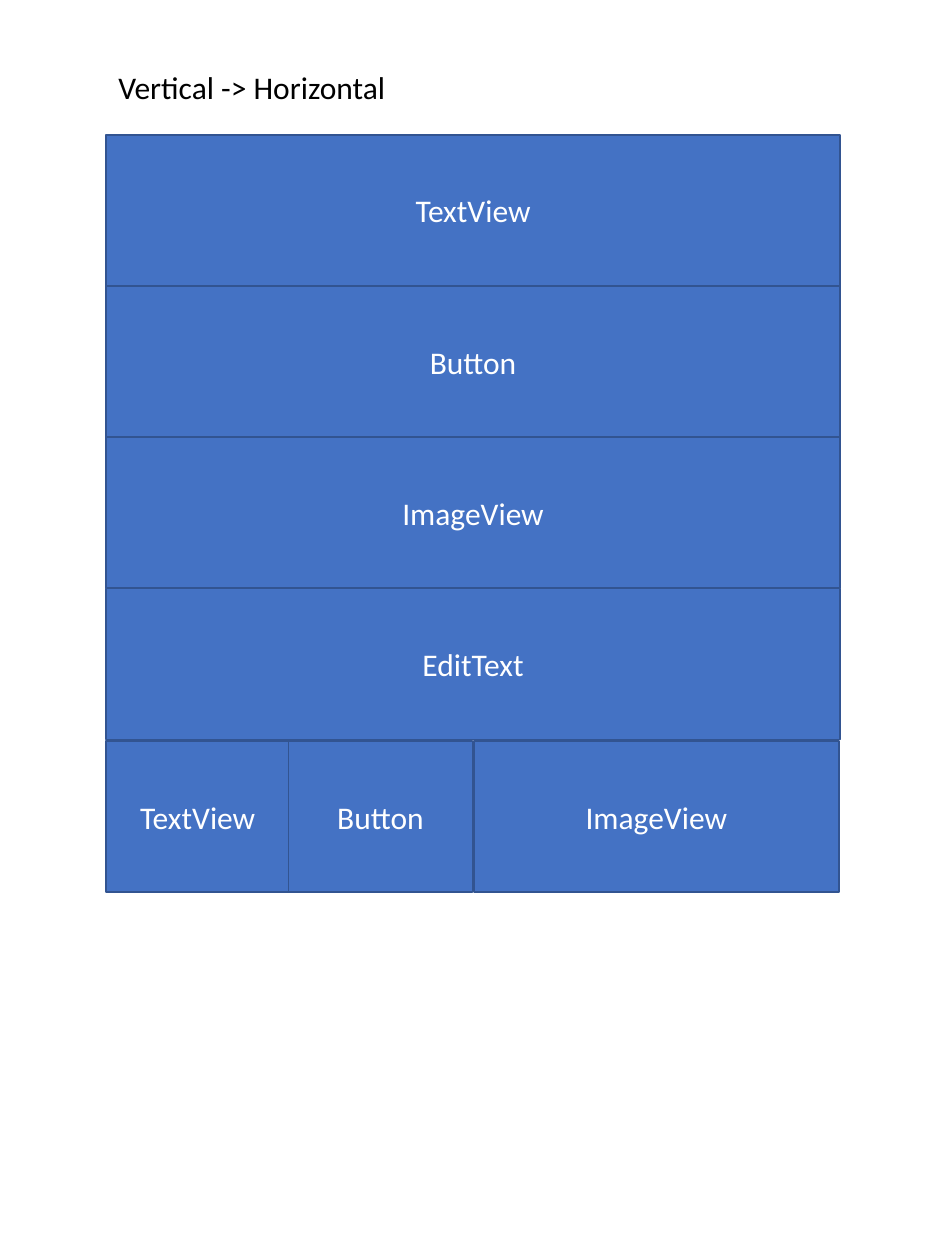
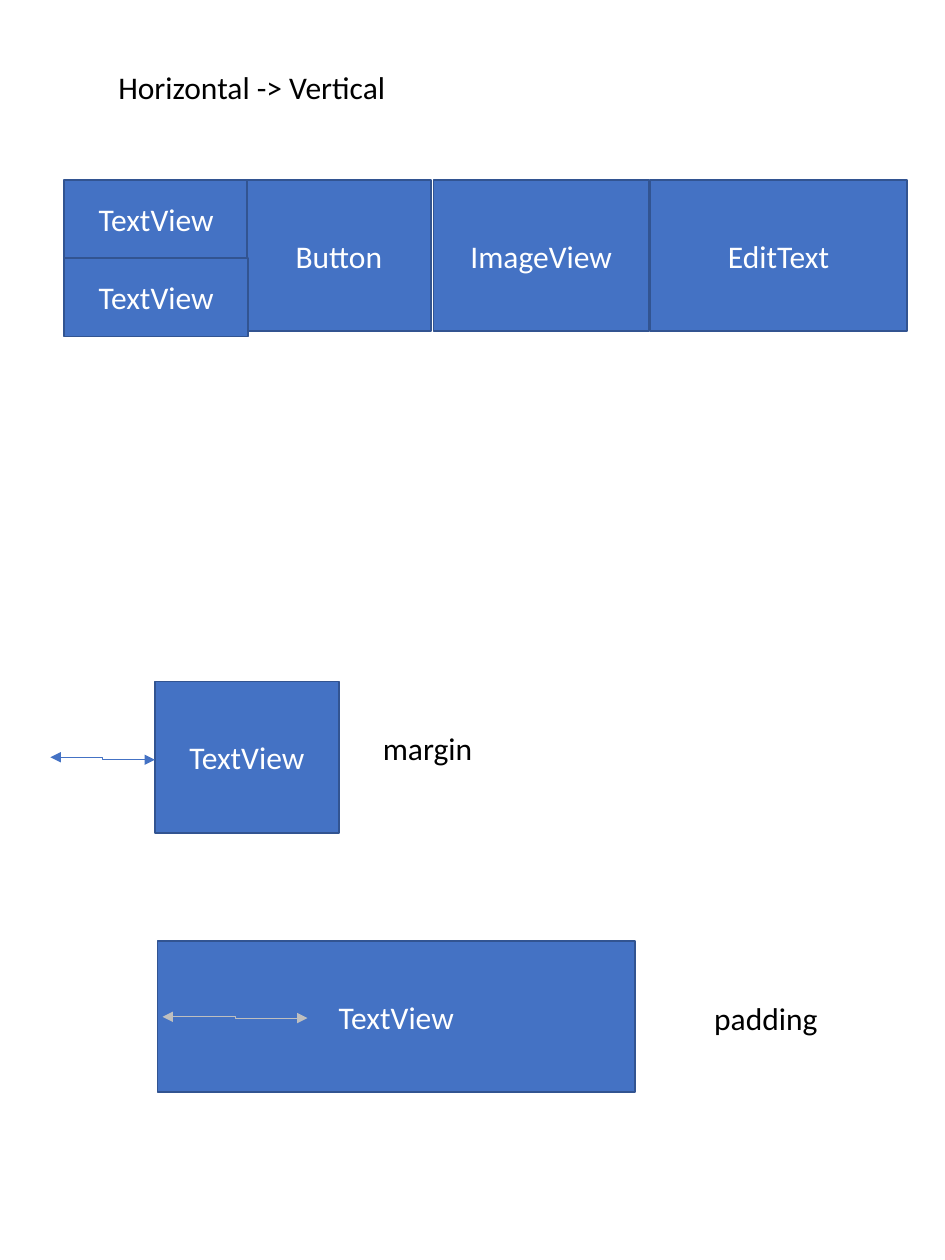
"""Builds two slides on nested linear layouts, margin and padding."""
from lxml.etree import SubElement
from pptx import Presentation
from pptx.dml.color import RGBColor
from pptx.enum.shapes import MSO_CONNECTOR, MSO_SHAPE
from pptx.enum.text import MSO_ANCHOR, MSO_AUTO_SIZE, PP_ALIGN
from pptx.oxml.ns import qn
from pptx.util import Inches, Pt

BLUE = RGBColor(0x44, 0x72, 0xC4)
NAVY = RGBColor(0x32, 0x54, 0x91)
GRAY = RGBColor(0xBF, 0xBF, 0xBF)
WHITE = RGBColor(0xFF, 0xFF, 0xFF)
BLACK = RGBColor(0x00, 0x00, 0x00)
VIEW_HEIGHT = 1.2
VIEW_WIDTH = 1.46
LEFT = 0.84


def write(frame, text, color=BLACK, align=PP_ALIGN.LEFT, anchor=MSO_ANCHOR.TOP,
          wrap=True, size=18, font="Calibri"):
    frame.word_wrap = wrap
    frame.vertical_anchor = anchor
    paragraph = frame.paragraphs[0]
    paragraph.alignment = align
    run = paragraph.add_run()
    run.text = text
    run.font.size = Pt(size)
    run.font.name = font
    run.font.color.rgb = color


class LayoutDeck:
    def __init__(self):
        self.presentation = Presentation()
        self.presentation.slide_width = Inches(7.5)
        self.presentation.slide_height = Inches(10)
        self.slide = None

    def start(self, title):
        self.slide = self.presentation.slides.add_slide(self.presentation.slide_layouts[6])
        self.label(title, LEFT, 0.49, 3.29, wrap=True)

    def label(self, text, left, top, width, wrap=False):
        label = self.slide.shapes.add_textbox(
            Inches(left), Inches(top), Inches(width), Inches(0.4))
        write(label.text_frame, text, wrap=wrap)
        label.text_frame.auto_size = MSO_AUTO_SIZE.SHAPE_TO_FIT_TEXT

    def view(self, text, left, top, width=VIEW_WIDTH, height=VIEW_HEIGHT):
        view = self.slide.shapes.add_shape(
            MSO_SHAPE.RECTANGLE, Inches(left), Inches(top), Inches(width), Inches(height))
        view.shadow.inherit = False
        view.fill.solid()
        view.fill.fore_color.rgb = BLUE
        view.line.color.rgb = NAVY
        view.line.width = Pt(1)
        write(view.text_frame, text, color=WHITE, align=PP_ALIGN.CENTER,
              anchor=MSO_ANCHOR.MIDDLE)

    def gap_arrow(self, start, end, color):
        arrow = self.slide.shapes.add_connector(
            MSO_CONNECTOR.ELBOW, *(Inches(value) for value in start + end))
        arrow.line.color.rgb = color
        arrow.line.width = Pt(0.5)
        properties = arrow.element.find(qn("p:spPr"))
        outline = properties.find(qn("a:ln"))
        for tip in ("a:headEnd", "a:tailEnd"):
            SubElement(outline, qn(tip), type="triangle")
        SubElement(properties, qn("a:effectLst"))


deck = LayoutDeck()

deck.start("Vertical -> Horizontal")
stack = ("TextView", "Button", "ImageView", "EditText")
for index, name in enumerate(stack):
    deck.view(name, LEFT, 1.07 + index * VIEW_HEIGHT, 5.83)
for name, left, width in (("TextView", LEFT, VIEW_WIDTH),
                          ("Button", 2.29, VIEW_WIDTH),
                          ("ImageView", 3.76, 2.9)):
    deck.view(name, left, 5.88, width)

deck.start("Horizontal -> Vertical")
row_top, half_height = 1.43, 0.62
for name, left, width, height in (("TextView", 0.51, VIEW_WIDTH, half_height),
                                  ("Button", 1.96, VIEW_WIDTH, VIEW_HEIGHT),
                                  ("ImageView", 3.44, 1.71, VIEW_HEIGHT),
                                  ("EditText", 5.16, 2.04, VIEW_HEIGHT)):
    deck.view(name, left, row_top, width, height)
deck.view("TextView", 0.51, row_top + half_height, height=half_height)

deck.view("TextView", 1.23, 5.41)
deck.gap_arrow((0.4, 6.01), (1.23, 6.03), BLUE)
deck.label("margin", 2.94, 5.74, 0.92)

deck.view("TextView", 1.25, 7.47, 3.79)
deck.gap_arrow((1.29, 8.07), (2.44, 8.08), GRAY)
deck.label("padding", 5.57, 7.88, 1.03)

deck.presentation.save("out.pptx")
